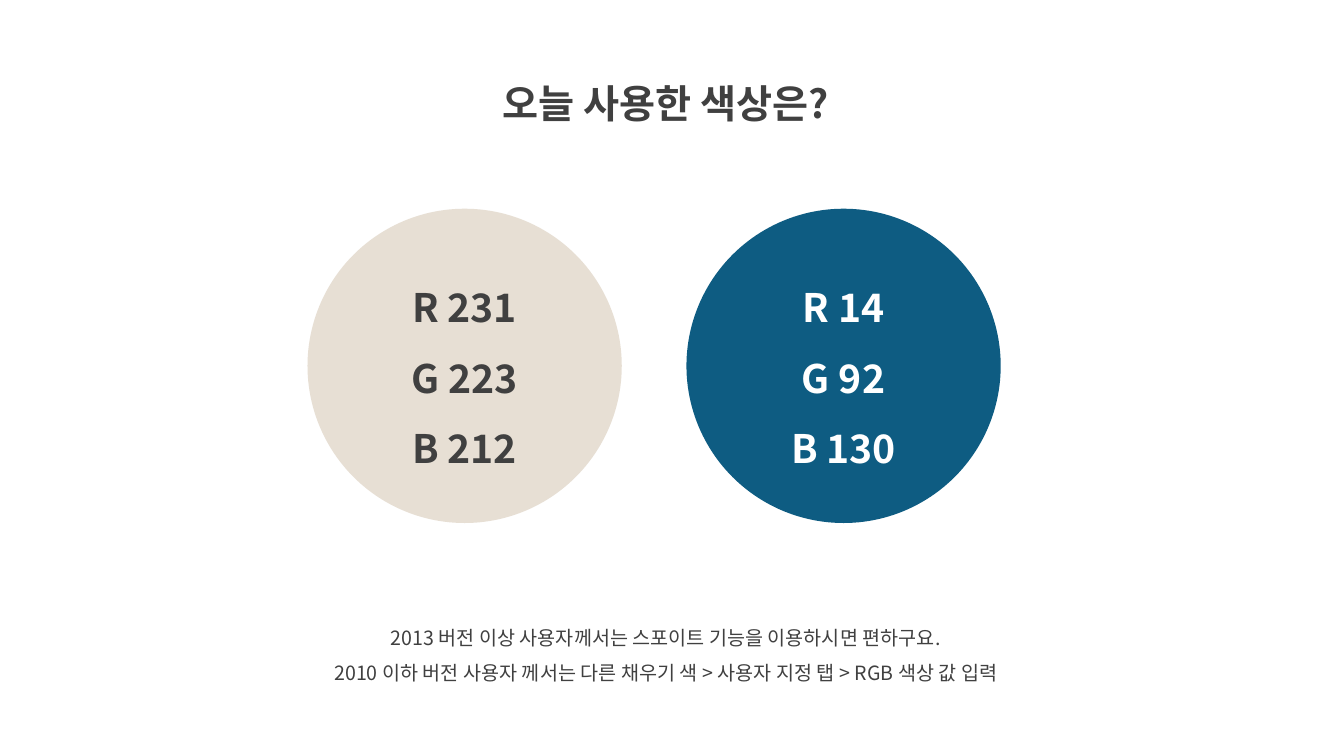
from pptx import Presentation
from pptx.dml.color import RGBColor
from pptx.enum.shapes import MSO_SHAPE
from pptx.enum.text import MSO_ANCHOR, MSO_AUTO_SIZE, PP_ALIGN
from pptx.oxml.ns import qn
from pptx.util import Cm, Pt

FONT = "Noto Sans CJK KR"
DARK = "404040"
WHITE = "FFFFFF"
BEIGE = "E7DFD4"
BLUE = "0E5C82"


def color(hex_code):
    return RGBColor.from_string(hex_code)


def write(frame, lines, size=28, ink=DARK, bold=True,
          anchor=MSO_ANCHOR.TOP, fit=MSO_AUTO_SIZE.SHAPE_TO_FIT_TEXT):
    frame.word_wrap = True
    frame.auto_size = fit
    frame.vertical_anchor = anchor
    for index, line in enumerate(lines):
        paragraph = frame.add_paragraph() if index else frame.paragraphs[0]
        paragraph.alignment = PP_ALIGN.CENTER
        paragraph.line_spacing = 1.5
        run = paragraph.add_run()
        run.text = line
        font = run.font
        font.name = FONT
        font.size = Pt(size)
        font.bold = bold
        font.color.rgb = color(ink)
        east_asian = run._r.get_or_add_rPr().makeelement(
            qn("a:ea"), {"typeface": FONT})
        font._element.find(qn("a:latin")).addnext(east_asian)


def add_heading(slide, text):
    heading = slide.shapes.title
    heading.left, heading.top = Cm(10.9), Cm(1.27)
    heading.width, heading.height = Cm(11.76), Cm(1.83)
    write(heading.text_frame, [text])


def add_swatch(slide, left, fill, ink, values):
    swatch = slide.shapes.add_shape(
        MSO_SHAPE.OVAL, Cm(left), Cm(5.26), Cm(7.92), Cm(7.92))
    swatch.shadow.inherit = False
    swatch.fill.solid()
    swatch.fill.fore_color.rgb = color(fill)
    swatch.line.fill.background()
    lines = [f"{channel} {value}" for channel, value in zip("RGB", values)]
    write(swatch.text_frame, lines, ink=ink,
          anchor=MSO_ANCHOR.MIDDLE, fit=MSO_AUTO_SIZE.NONE)


def add_tips(slide, lines):
    tips = slide.shapes.add_textbox(Cm(6.63), Cm(15.34), Cm(20.3), Cm(2.06))
    write(tips.text_frame, lines, size=14, bold=False)


def main():
    deck = Presentation()
    deck.slide_width, deck.slide_height = Cm(33.87), Cm(19.05)
    slide = deck.slides.add_slide(deck.slide_layouts.get_by_name("Title Only"))

    add_heading(slide, "오늘 사용한 색상은?")
    add_tips(slide, [
        "2013 버전 이상 사용자께서는 스포이트 기능을 이용하시면 편하구요.",
        "2010 이하 버전 사용자 께서는 다른 채우기 색 > 사용자 지정 탭 > RGB 색상 값 입력",
    ])
    add_swatch(slide, 7.75, BEIGE, DARK, (231, 223, 212))
    add_swatch(slide, 17.3, BLUE, WHITE, (14, 92, 130))

    deck.save("out.pptx")


if __name__ == "__main__":
    main()
